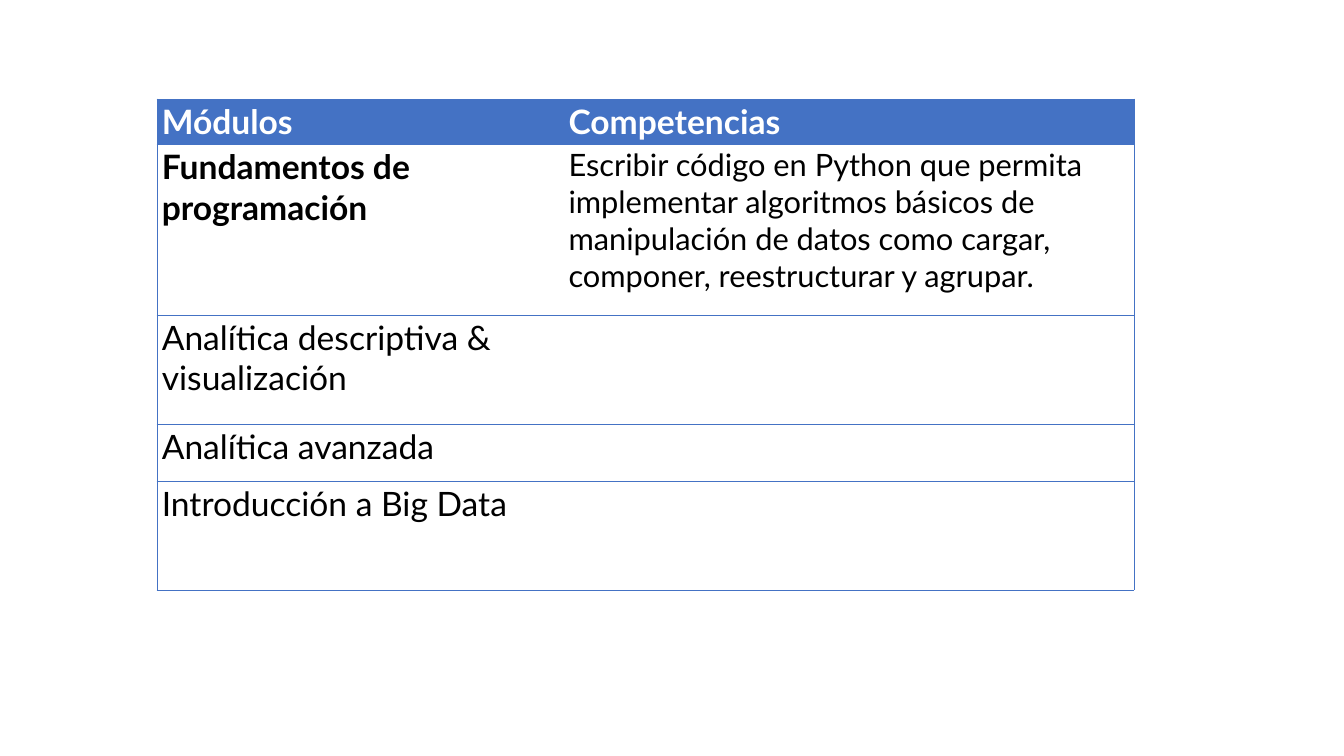
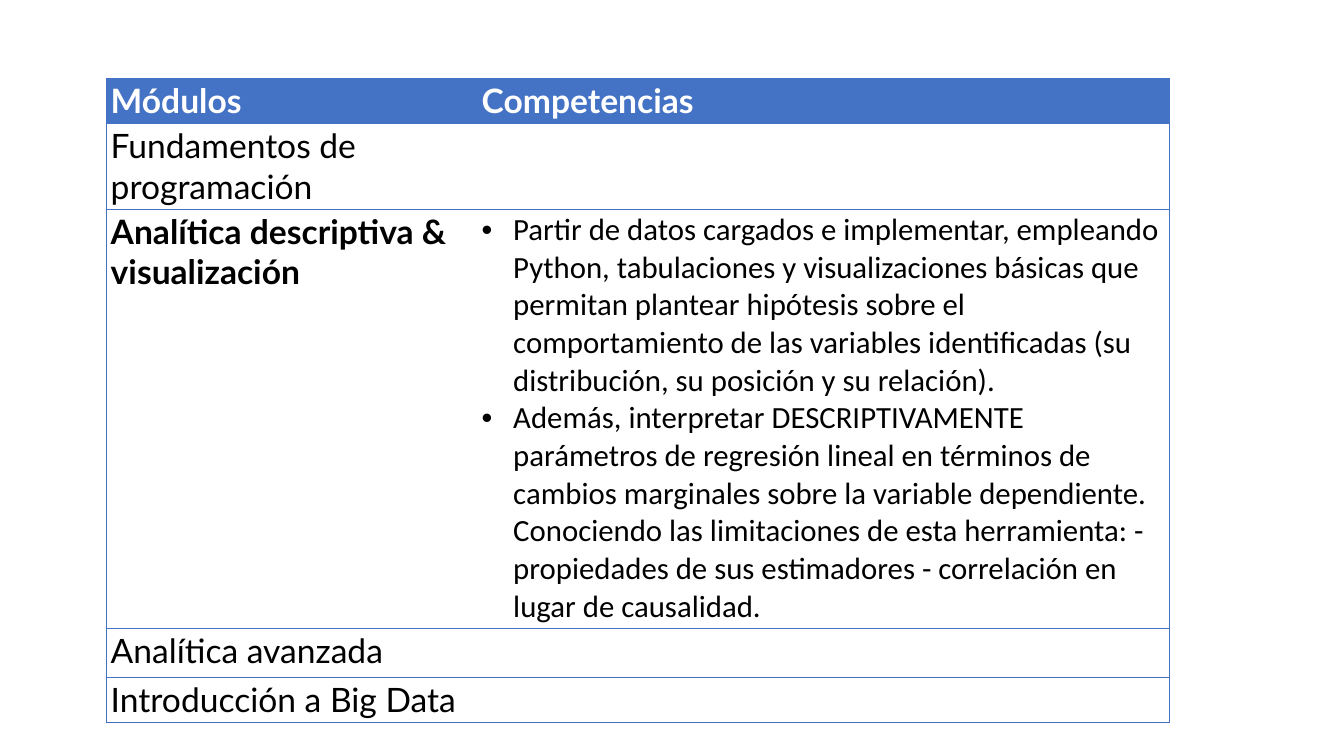
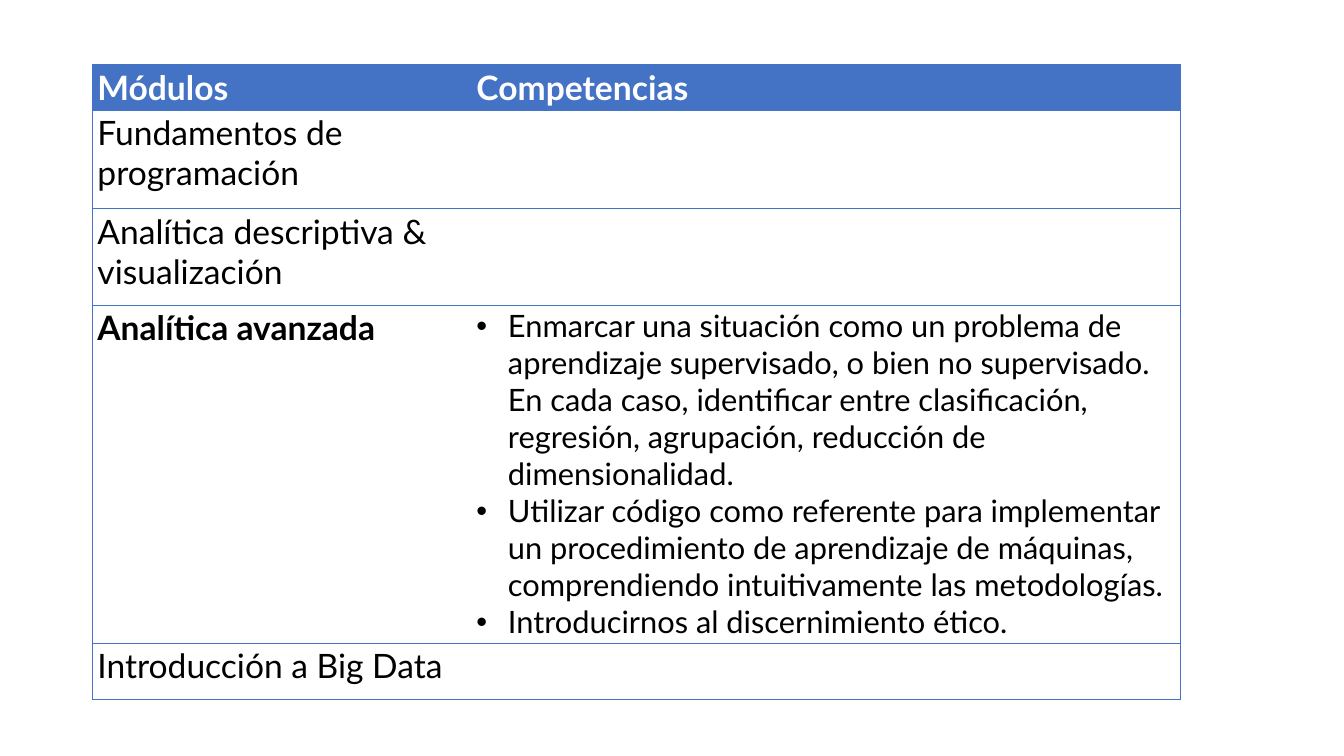
from dataclasses import dataclass

from lxml.etree import SubElement
from pptx import Presentation
from pptx.dml.color import RGBColor
from pptx.oxml.ns import qn
from pptx.slide import Slide
from pptx.table import _Cell
from pptx.text.text import _Paragraph
from pptx.util import Pt

BLUE = RGBColor(0x44, 0x72, 0xC4)
WHITE = RGBColor(0xFF, 0xFF, 0xFF)
BLACK = RGBColor(0x00, 0x00, 0x00)

HEADING_FONT = "Lato"
MODULE_SIZE = 48
SKILL_SIZE = 44
BULLET_INDENT = Pt(45)
RULE_WIDTH = Pt(0.5)

HEADINGS = ("Módulos", "Competencias")
MODULES = (
    "Fundamentos de programación",
    "Analítica descriptiva & visualización",
    "Analítica avanzada",
    "Introducción a Big Data",
)


@dataclass(frozen=True)
class ModuleSlide:
    left: float
    top: float
    height: float
    column_widths: tuple[float, ...]
    row_heights: tuple[float, ...]
    current_module: int
    skills: tuple[str, ...]
    skill_font: str = HEADING_FONT
    bulleted: bool = True


MODULE_SLIDES = (
    ModuleSlide(
        224, 141, 702, (581, 815), (64, 244, 155.5, 82, 155.5), 0,
        (
            "Escribir código en Python que permita implementar algoritmos básicos de "
            "manipulación de datos como cargar, componer, reestructurar y agrupar.",
        ),
        bulleted=False,
    ),
    ModuleSlide(
        151, 111, 911, (530, 989.5), (55.5, 119.5, 464.5, 70.5, 63.5), 1,
        (
            "Partir de datos cargados e implementar, empleando Python, tabulaciones y "
            "visualizaciones básicas que permitan plantear hipótesis sobre el "
            "comportamiento de las variables identificadas (su distribución, su "
            "posición y su relación).",
            "Además, interpretar DESCRIPTIVAMENTE parámetros de regresión lineal en "
            "términos de cambios marginales sobre la variable dependiente. Conociendo "
            "las limitaciones de esta herramienta: - propiedades de sus estimadores - "
            "correlación en lugar de causalidad.",
        ),
        skill_font="Calibri",
    ),
    ModuleSlide(
        132, 92, 907, (541.5, 1013), (64, 141, 138, 82, 80.5), 2,
        (
            "Enmarcar una situación como un problema de aprendizaje supervisado, o bien "
            "no supervisado. En cada caso, identificar entre clasificación, regresión, "
            "agrupación, reducción de dimensionalidad.",
            "Utilizar código como referente para implementar un procedimiento de "
            "aprendizaje de máquinas, comprendiendo intuitivamente las metodologías.",
            "Introducirnos al discernimiento ético.",
        ),
    ),
)


def style_cell(cell: _Cell, column: int, is_header: bool) -> None:
    properties = cell._tc.get_or_add_tcPr()
    inner_edge = "R" if column == 0 else "L"
    for edge in "LRTB":
        rule = SubElement(properties, qn(f"a:ln{edge}"), w=str(RULE_WIDTH))
        if edge == inner_edge:
            SubElement(rule, qn("a:noFill"))
        else:
            fill = SubElement(rule, qn("a:solidFill"))
            SubElement(fill, qn("a:srgbClr"), val=str(BLUE))
    if is_header:
        cell.fill.solid()
        cell.fill.fore_color.rgb = BLUE
    else:
        cell.fill.background()


def add_bullet(paragraph: _Paragraph) -> None:
    properties = paragraph._p.get_or_add_pPr()
    properties.set("marL", str(BULLET_INDENT))
    properties.set("indent", str(-BULLET_INDENT))
    SubElement(properties, qn("a:buFont"), typeface="Arial")
    SubElement(properties, qn("a:buChar"), char="•")


def write_cell(
    cell: _Cell,
    texts: tuple[str, ...],
    size: float,
    font_name: str = HEADING_FONT,
    color: RGBColor = BLACK,
    bold: bool = False,
    bulleted: bool = False,
) -> None:
    cell.text = "\n".join(texts)
    for paragraph in cell.text_frame.paragraphs:
        if bulleted:
            add_bullet(paragraph)
        font = paragraph.font
        font.name, font.size, font.bold = font_name, Pt(size), bold
        font.color.rgb = color


def add_module_table(slide: Slide, content: ModuleSlide) -> None:
    frame = slide.shapes.add_table(
        len(content.row_heights), len(HEADINGS),
        Pt(content.left), Pt(content.top),
        Pt(sum(content.column_widths)), Pt(content.height),
    )
    table = frame.table
    table.horz_banding = False
    for column, width in zip(table.columns, content.column_widths):
        column.width = Pt(width)
    for row_index, (row, height) in enumerate(zip(table.rows, content.row_heights)):
        row.height = Pt(height)
        for column_index, cell in enumerate(row.cells):
            style_cell(cell, column_index, row_index == 0)
    frame.height = Pt(content.height)

    for column_index, heading in enumerate(HEADINGS):
        write_cell(table.cell(0, column_index), (heading,), MODULE_SIZE, color=WHITE, bold=True)
    for module_index, module in enumerate(MODULES):
        is_current = module_index == content.current_module
        write_cell(table.cell(module_index + 1, 0), (module,), MODULE_SIZE, bold=is_current)
    write_cell(
        table.cell(content.current_module + 1, 1), content.skills, SKILL_SIZE,
        content.skill_font, bulleted=content.bulleted,
    )


def main() -> None:
    presentation = Presentation()
    presentation.slide_width, presentation.slide_height = Pt(1920), Pt(1080)
    blank_layout = presentation.slide_layouts[6]
    for content in MODULE_SLIDES:
        add_module_table(presentation.slides.add_slide(blank_layout), content)
    presentation.save("out.pptx")


if __name__ == "__main__":
    main()
